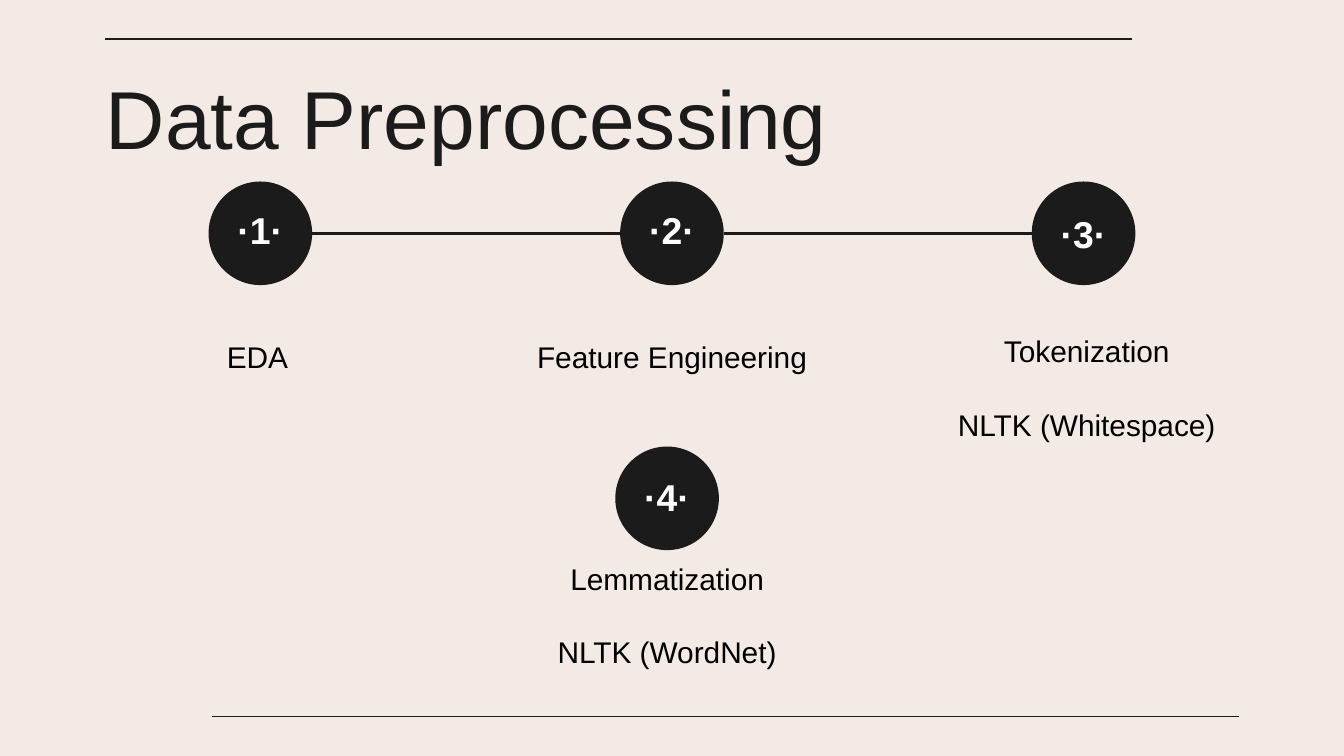
import pptx
import pptx.util
import pptx.dml.color
import pptx.enum.shapes
import pptx.enum.text
import pptx.oxml.ns
from lxml import etree

Pt = pptx.util.Pt
ALIGN = pptx.enum.text.PP_ALIGN
ANCHOR = pptx.enum.text.MSO_ANCHOR
SHAPE = pptx.enum.shapes.MSO_SHAPE
LINE = pptx.enum.shapes.MSO_CONNECTOR

DARK = "1B1B1B"
CIRCLE = 55.5
NUMBER_SIZE = (50.4, 26.6)
LABEL_SIZE = (166.3, 52.6)
FIRST_X, STEP_X, ROW_Y = 139.5, 220.5, 125


def color(value):
    return pptx.dml.color.RGBColor.from_string(value)


def add_text(s, text, x, y, w, h, *, size, fill="000000", bold=False,
             align=ALIGN.CENTER, anchor=ANCHOR.MIDDLE, top=0, gap=0):
    """Add a text box; each line of text is a paragraph, gap points apart."""
    sp = s.shapes.add_textbox(Pt(x), Pt(y), Pt(w), Pt(h))
    tf = sp.text_frame
    tf.word_wrap = True
    tf.vertical_anchor = anchor
    tf.margin_left = tf.margin_right = tf.margin_bottom = 0
    tf.margin_top = Pt(top)
    for i, line in enumerate(text.split("\n")):
        p = tf.add_paragraph() if i else tf.paragraphs[0]
        p.alignment = align
        if i:
            p.space_before = Pt(gap)
        r = p.add_run()
        r.text = line
        r.font.name = "Arial"
        r.font.size = Pt(size)
        r.font.bold = bold
        r.font.color.rgb = color(fill)
    return sp


def add_centered(s, text, cx, cy, box, **fmt):
    w, h = box
    return add_text(s, text, cx - w / 2, cy - h / 2, w, h, **fmt)


def add_circle(s, cx, cy):
    sp = s.shapes.add_shape(SHAPE.OVAL, Pt(cx - CIRCLE / 2), Pt(cy - CIRCLE / 2),
                            Pt(CIRCLE), Pt(CIRCLE))
    sp.shadow.inherit = False
    sp.fill.solid()
    sp.fill.fore_color.rgb = color(DARK)
    sp.line.fill.background()
    return sp


def add_line(s, x1, y1, x2, y2, width):
    sp = s.shapes.add_connector(LINE.STRAIGHT, Pt(x1), Pt(y1), Pt(x2), Pt(y2))
    sp.line.color.rgb = color(DARK)
    sp.line.width = Pt(width)
    etree.SubElement(sp._element.spPr, pptx.oxml.ns.qn("a:effectLst"))
    return sp


def add_step(s, number, cx, cy, number_y, label, label_x, label_y):
    add_circle(s, cx, cy)
    add_centered(s, f"·{number}·", cx, number_y, NUMBER_SIZE,
                 size=20, fill="FFFFFF", bold=True)
    add_centered(s, label, label_x, label_y, LABEL_SIZE, size=16, gap=20)


def main():
    prs = pptx.Presentation()
    prs.slide_width, prs.slide_height = Pt(720), Pt(405)
    s = prs.slides.add_slide(prs.slide_layouts[6])
    s.background.fill.solid()
    s.background.fill.fore_color.rgb = color("F4EAE5")

    # Title and the two border rules
    add_text(s, "Data Preprocessing", 56.7, 31, 607, 36, size=44, fill=DARK,
             align=ALIGN.LEFT, anchor=ANCHOR.TOP, top=5.3)
    add_line(s, 606.4, 21, 56.2, 21, 0.75)
    add_line(s, 113.6, 383.7, 663.8, 383.7, 0.75)

    # Connecting lines between the circles of the upper row
    centers = [FIRST_X + i * STEP_X for i in range(3)]
    for left, right in zip(centers, centers[1:]):
        add_line(s, left + CIRCLE / 2, ROW_Y, right - CIRCLE / 2, ROW_Y, 1.5)

    # Steps: circle centre, number height, label and its centre
    steps = [
        (centers[0], ROW_Y, 122.8, "EDA", 137.9, 191.2),
        (centers[1], ROW_Y, 122.8, "Feature Engineering", 360, 191.2),
        (centers[2], ROW_Y, 124.9, "Tokenization\nNLTK (Whitespace)", 582.2, 207.7),
        (357.4, 267, 266, "Lemmatization\nNLTK (WordNet)", 357.4, 329.4),
    ]
    for number, step in enumerate(steps, 1):
        add_step(s, number, *step)

    prs.save("out.pptx")


if __name__ == "__main__":
    main()
